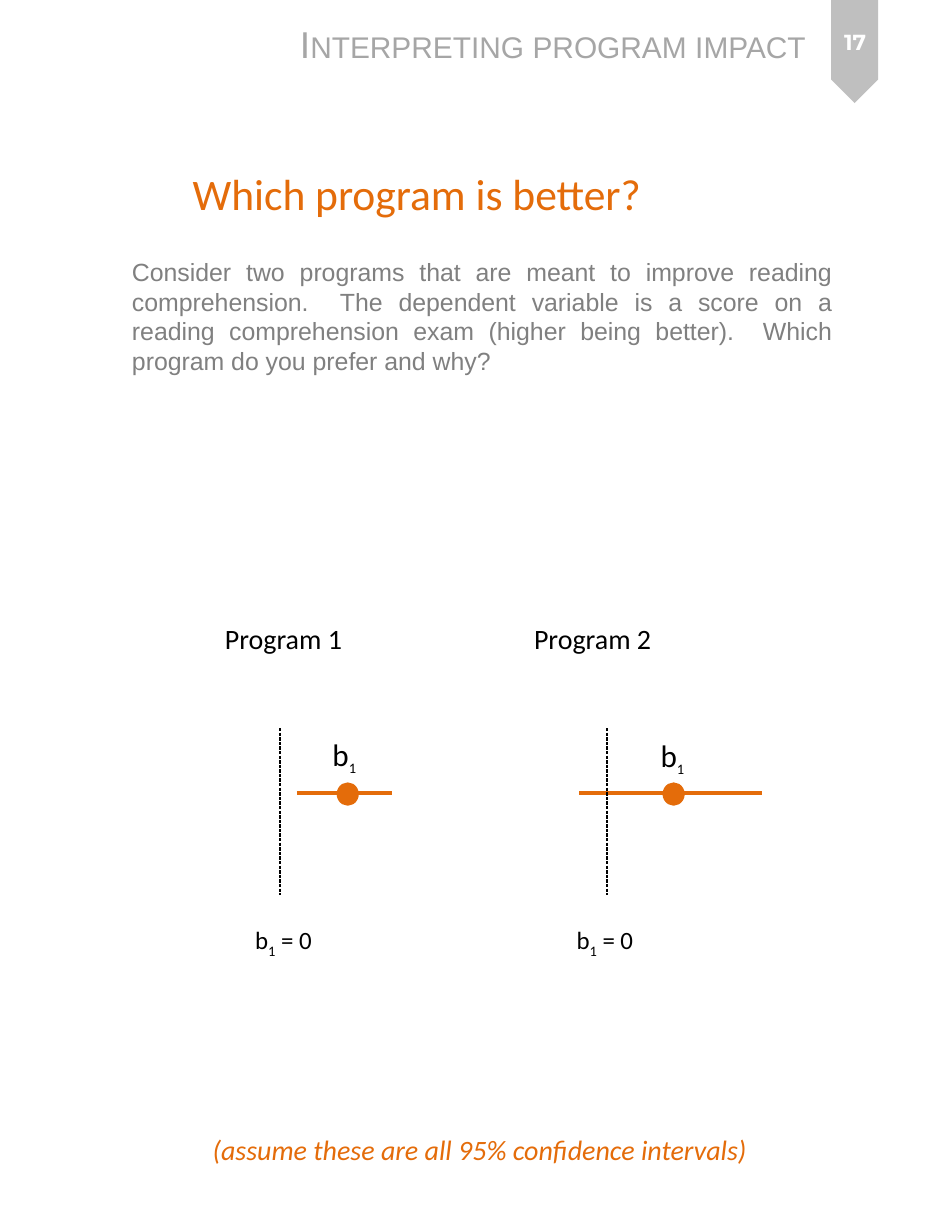
import pptx
import pptx.util
import pptx.dml.color
import pptx.enum.dml
import pptx.enum.shapes
import pptx.enum.text
import pptx.oxml.ns
from lxml import etree

Inches = pptx.util.Inches
Pt = pptx.util.Pt
Align = pptx.enum.text.PP_ALIGN
Anchor = pptx.enum.text.MSO_ANCHOR
Preset = pptx.enum.shapes.MSO_SHAPE

COLORS = {
    "accent": "E46C0A",
    "ink": "000000",
    "body": "808080",
    "header": "A6A6A6",
    "ribbon": "BFBFBF",
    "page": "FFFFFF",
}


def rgb(name):
    return pptx.dml.color.RGBColor.from_string(COLORS[name])


def write(shape, text, size, subscript="", after="", font="Calibri", color="ink",
          bold=False, italic=False, small_caps=False, align=Align.LEFT,
          anchor=Anchor.TOP, wrap=False, subscript_size=None):
    frame = shape.text_frame
    frame.word_wrap = wrap
    frame.auto_size = pptx.enum.text.MSO_AUTO_SIZE.NONE
    frame.vertical_anchor = anchor
    paragraph = frame.paragraphs[0]
    paragraph.alignment = align
    pieces = [(text, size, False), (subscript, subscript_size or size, True), (after, size, False)]
    for wording, points, lowered in pieces:
        if not wording:
            continue
        run = paragraph.add_run()
        run.text = wording
        run.font.name = font
        run.font.size = Pt(points)
        run.font.bold = bold
        run.font.italic = italic
        run.font.color.rgb = rgb(color)
        properties = run._r.get_or_add_rPr()
        if lowered:
            properties.set("baseline", "-25000")
        if small_caps:
            properties.set("cap", "small")


def add_text(slide, box, text, size, **style):
    write(slide.shapes.add_textbox(*map(Inches, box)), text, size, **style)


def add_line(slide, start, end, color, width, dash=None):
    line = slide.shapes.add_connector(
        pptx.enum.shapes.MSO_CONNECTOR.STRAIGHT, *map(Inches, start + end))
    line.line.color.rgb = rgb(color)
    line.line.width = Pt(width)
    if dash:
        line.line.dash_style = dash
    etree.SubElement(line._element.spPr, pptx.oxml.ns.qn("a:effectLst"))


def add_solid(slide, preset, box, color, outline=None):
    solid = slide.shapes.add_shape(preset, *map(Inches, box))
    solid.shadow.inherit = False
    solid.fill.solid()
    solid.fill.fore_color.rgb = rgb(color)
    if outline:
        solid.line.color.rgb = rgb(color)
        solid.line.width = Pt(outline)
    else:
        solid.line.fill.background()
    return solid


def add_header(slide):
    ribbon = add_solid(slide, Preset.PENTAGON, (7.17, 0.25, 0.92, 0.42), "ribbon")
    ribbon.rotation = 90
    add_text(slide, (2.58, 0.14, 4.96, 0.5), "Interpreting program impact", 24,
             font="Arial", color="header", small_caps=True)
    add_text(slide, (7.26, 0.08, 0.75, 0.59), "17", 14, font="Montserrat", color="page",
             bold=True, align=Align.CENTER, anchor=Anchor.MIDDLE, wrap=True)


def add_title(slide, text):
    title = slide.shapes.title
    title.left, title.top, title.width, title.height = map(Inches, (1.62, 1.44, 5.64, 0.57))
    write(title, text, 28, color="accent", wrap=True)


def add_program(slide, name, name_left, zero, zero_label_left, low, high,
                estimate, estimate_label):
    interval_y = 7.08
    add_text(slide, (name_left, 5.5, 1.26, 0.4), name, 18)
    add_line(slide, (low, interval_y), (high, interval_y), "accent", 2)
    add_line(slide, (zero, 6.5), (zero, 7.99), "ink", 0.75,
             dash=pptx.enum.dml.MSO_LINE.SQUARE_DOT)
    add_solid(slide, Preset.OVAL, (estimate, 7, 0.17, 0.18), "accent", outline=2)
    add_text(slide, estimate_label + (0.42, 0.44), "b", 20, subscript="1", subscript_size=16)
    add_text(slide, (zero_label_left, 8.21, 0.72, 0.37), "b", 16, subscript="1", after=" = 0")


def main():
    deck = pptx.Presentation()
    deck.slide_width = Inches(8.5)
    deck.slide_height = Inches(11)
    slide = deck.slides.add_slide(deck.slide_layouts.get_by_name("Title Only"))

    add_header(slide)
    add_title(slide, "Which program is better?")
    add_text(slide, (1.08, 2.24, 6.45, 1.18),
             "Consider two programs that are meant to improve reading comprehension.  "
             "The dependent variable is a score on a reading comprehension exam "
             "(higher being better).  Which program do you prefer and why?",
             16, font="Arial", color="body", align=Align.JUSTIFY, wrap=True)
    add_program(slide, "Program 1", name_left=1.91, zero=2.5, zero_label_left=2.18,
                low=2.65, high=3.5, estimate=3.02, estimate_label=(2.87, 6.52))
    add_program(slide, "Program 2", name_left=4.67, zero=5.42, zero_label_left=5.05,
                low=5.17, high=6.8, estimate=5.93, estimate_label=(5.8, 6.53))
    add_text(slide, (1.8, 10.06, 5.06, 0.4),
             "(assume these are all 95% confidence intervals)", 18,
             color="accent", italic=True)
    deck.save("out.pptx")


if __name__ == "__main__":
    main()
